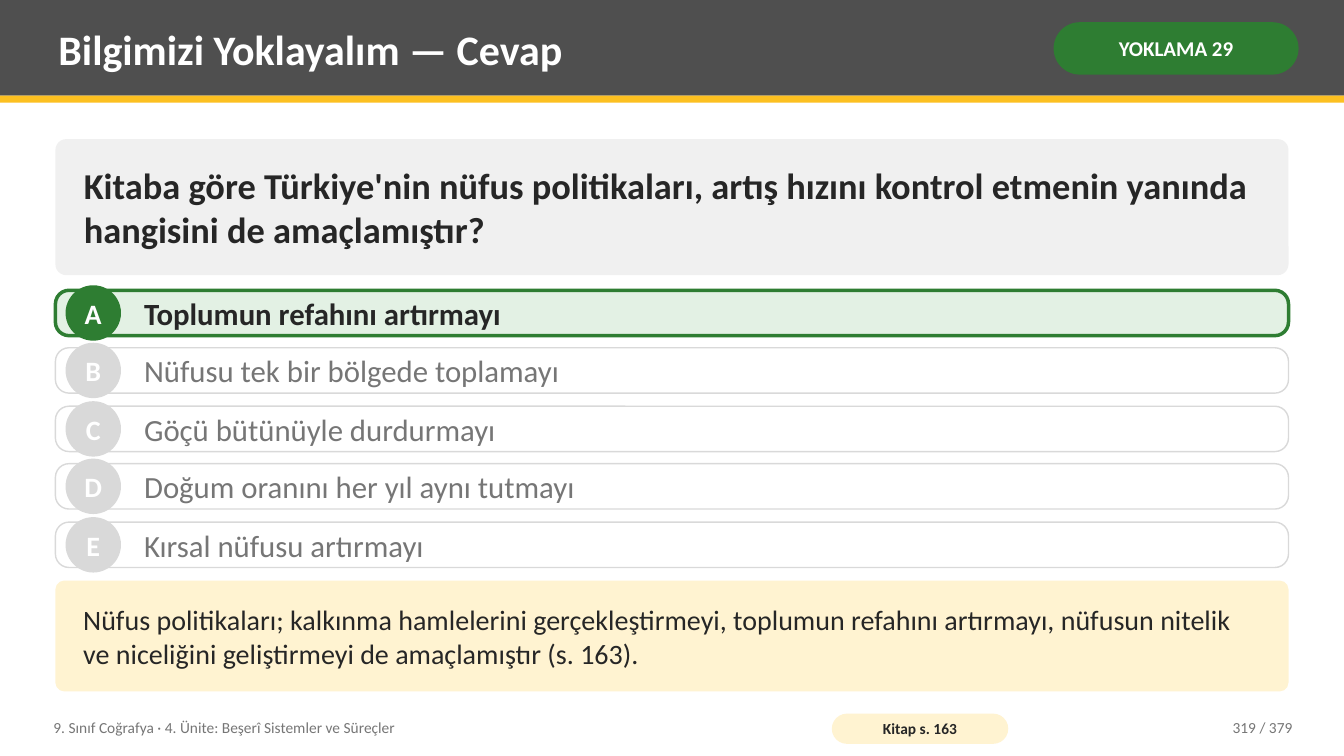
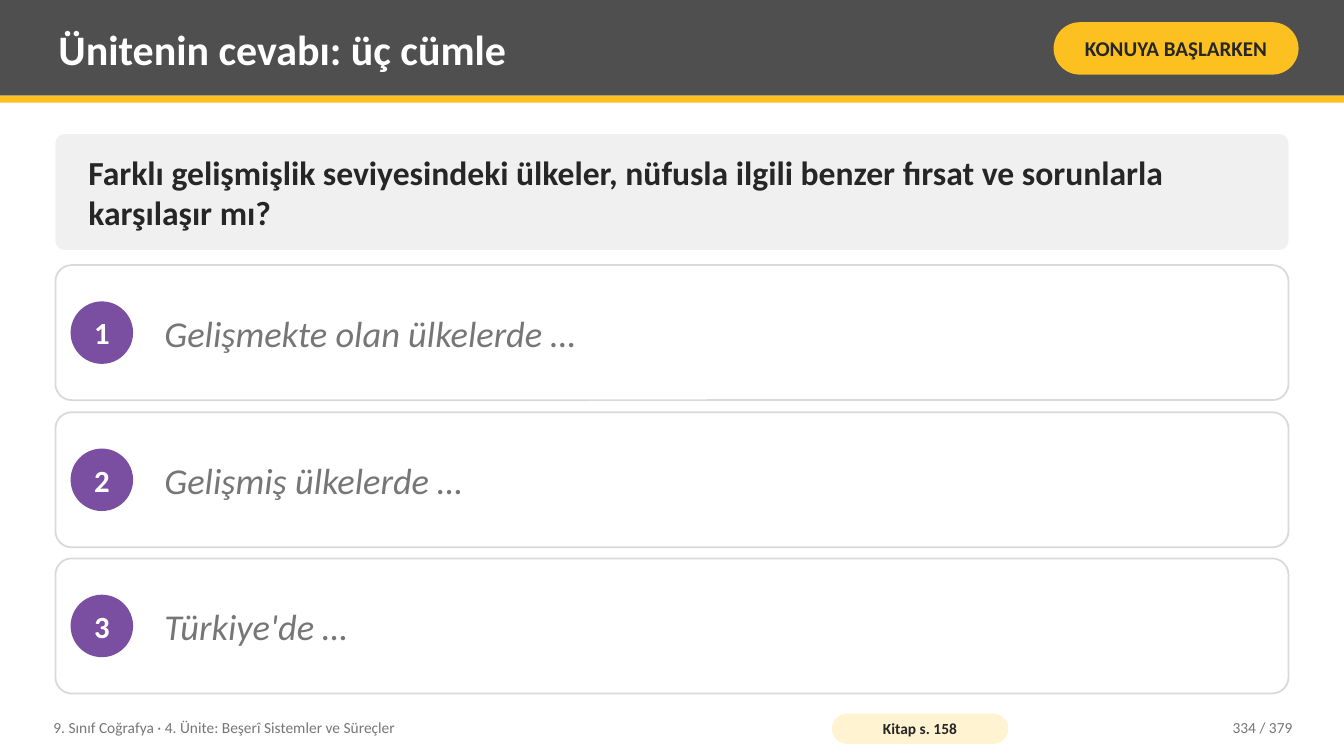
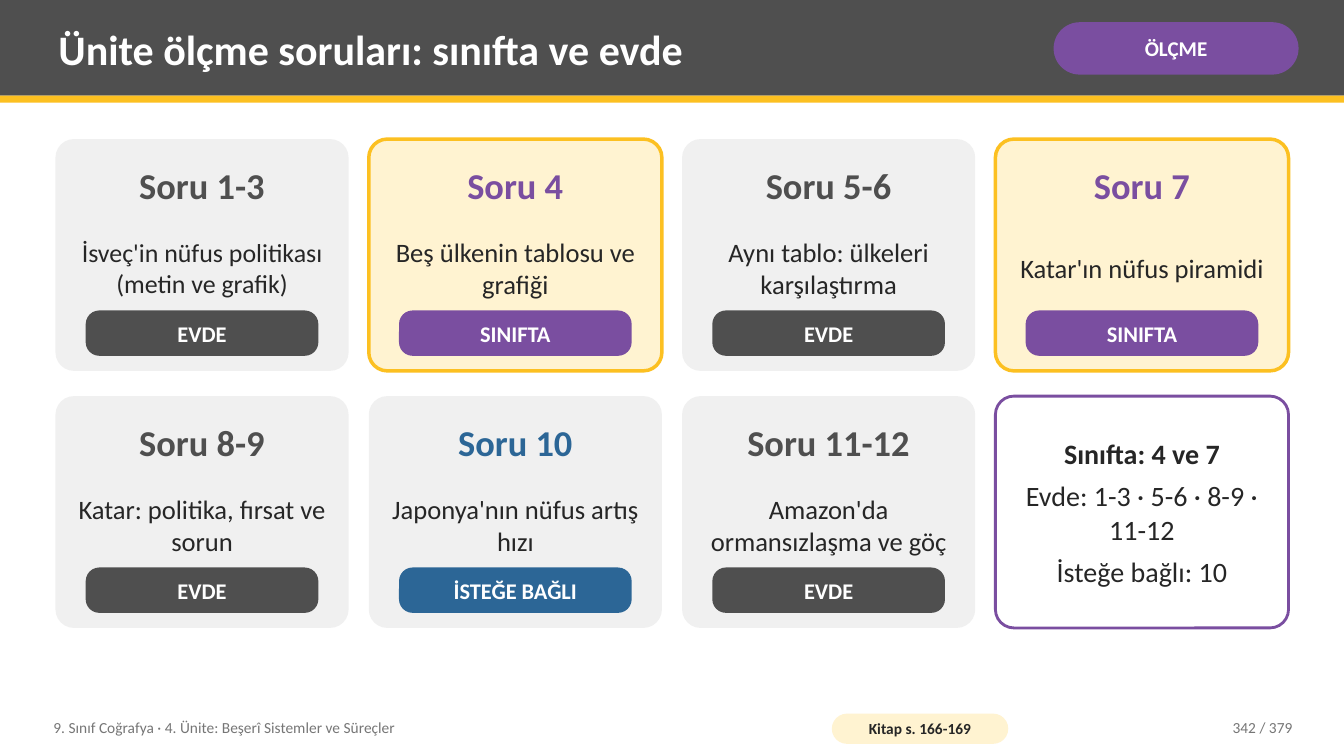
"""Build three geography lesson slides: a quiz answer, sentence starters and a question plan."""
from pptx import Presentation
from pptx.dml.color import RGBColor
from pptx.enum.shapes import MSO_SHAPE
from pptx.enum.text import MSO_ANCHOR, PP_ALIGN
from pptx.util import Pt

RECT, ROUND, OVAL = MSO_SHAPE.RECTANGLE, MSO_SHAPE.ROUNDED_RECTANGLE, MSO_SHAPE.OVAL
MIDDLE = MSO_ANCHOR.MIDDLE
LEFT, CENTER, RIGHT = PP_ALIGN.LEFT, PP_ALIGN.CENTER, PP_ALIGN.RIGHT
PX = 9144


class Theme:
    font = "Calibri"
    white, ink, muted, border = "FFFFFF", "262626", "767676", "D9D9D9"
    slate, panel, gold, cream = "4F4F4F", "F0F0F0", "FCC021", "FFF3D1"
    green, mint, purple, blue = "2E7D32", "E3F1E4", "7A4EA0", "2C6696"
    title, heading, question, option = 30, 26, 24, 22
    body, card, card_small, label, tag, footer = 20, 19, 18.5, 16, 15, 11


def draw(page, kind, area, fill, line=None, line_width=1, corner=None):
    box = page.shapes.add_shape(kind, *(round(side * PX) for side in area))
    box.shadow.inherit = False
    box.fill.solid()
    box.fill.fore_color.rgb = RGBColor.from_string(fill)
    if line:
        box.line.color.rgb = RGBColor.from_string(line)
        box.line.width = Pt(line_width)
    else:
        box.line.fill.background()
    if corner is not None:
        box.adjustments[0] = corner
    return box


def write(target, text, size, color, area=None, inset=(8, 4), align=LEFT, wrap=True, gap=0, **style):
    box = target.shapes.add_textbox(*(round(side * PX) for side in area)) if area else target
    frame = box.text_frame
    across, down = (side * PX for side in inset)
    layout = {"margin_left": across, "margin_right": across, "margin_top": down,
              "margin_bottom": down, "vertical_anchor": MIDDLE, "word_wrap": wrap}
    for name, value in layout.items():
        setattr(frame, name, value)
    frame.text = text
    for para in frame.paragraphs:
        para.alignment = align
        if gap and para is not frame.paragraphs[-1]:
            para.space_after = Pt(gap)
        for span in para.runs:
            for name, value in {"name": Theme.font, "size": Pt(size), **style}.items():
                setattr(span.font, name, value)
            span.font.color.rgb = RGBColor.from_string(color)
    return frame


deck = Presentation()
deck.slide_width, deck.slide_height = 1333 * PX, 750 * PX
blank = deck.slide_layouts[6]
left, width = 55, 1223

headers = [
    ("Bilgimizi Yoklayalım — Cevap", "YOKLAMA 29", Theme.green, Theme.white, "163", 319),
    ("Ünitenin cevabı: üç cümle", "KONUYA BAŞLARKEN", Theme.gold, Theme.ink, "158", 334),
    ("Ünite ölçme soruları: sınıfta ve evde", "ÖLÇME", Theme.purple, Theme.white, "166-169", 342),
]
pages = []
for title, tag, tag_fill, tag_color, book_pages, number in headers:
    page = deck.slides.add_slide(blank)
    draw(page, RECT, (0, 0, 1333, 95), Theme.slate)
    draw(page, RECT, (0, 95, 1333, 7), Theme.gold)
    write(page, title, Theme.title, Theme.white, (50, 7, 975, 82), bold=True)
    pill = draw(page, ROUND, (1045, 22, 243, 52), tag_fill, corner=0.5)
    write(pill, tag, Theme.tag, tag_color, inset=(5, 2), align=CENTER, bold=True)
    write(page, "9. Sınıf Coğrafya · 4. Ünite: Beşerî Sistemler ve Süreçler",
          Theme.footer, Theme.muted, (45, 704, 760, 36))
    source = draw(page, ROUND, (825, 708, 175, 30), Theme.cream, corner=0.5)
    write(source, f"Kitap s. {book_pages}", Theme.footer, Theme.ink, inset=(4, 0), align=CENTER, bold=True)
    write(page, f"{number} / 379", Theme.footer, Theme.muted, (1130, 704, 160, 36), align=RIGHT)
    pages.append(page)
answer_page, sentence_page, plan_page = pages

question = draw(answer_page, ROUND, (left, 138, width, 135), Theme.panel, corner=0.08)
write(question, "Kitaba göre Türkiye'nin nüfus politikaları, artış hızını kontrol etmenin yanında "
      "hangisini de amaçlamıştır?", Theme.heading, Theme.ink, inset=(25, 8), bold=True)
options = ["Toplumun refahını artırmayı", "Nüfusu tek bir bölgede toplamayı", "Göçü bütünüyle durdurmayı",
           "Doğum oranını her yıl aynı tutmayı", "Kırsal nüfusu artırmayı"]
for index, (letter, option) in enumerate(zip("ABCDE", options)):
    top = 288 + 115 * index // 2
    correct = letter == "A"
    accent = Theme.green if correct else Theme.border
    draw(answer_page, ROUND, (left, top, width, 45), Theme.mint if correct else Theme.white,
         accent, 2.5 if correct else 1, 0.3)
    badge = draw(answer_page, OVAL, (65, top - 5, 55, 55), accent)
    write(badge, letter, Theme.body, Theme.white, inset=(0, 0), align=CENTER, wrap=False, bold=True)
    write(answer_page, option, Theme.option, Theme.ink if correct else Theme.muted,
          (135, top, 1123, 45), bold=correct)
explanation = draw(answer_page, ROUND, (left, 576, width, 110), Theme.cream, corner=0.08)
write(explanation, "Nüfus politikaları; kalkınma hamlelerini gerçekleştirmeyi, toplumun refahını artırmayı, "
      "nüfusun nitelik ve niceliğini geliştirmeyi de amaçlamıştır (s. 163).",
      Theme.body, Theme.ink, inset=(25, 8))

question = draw(sentence_page, ROUND, (left, 133, width, 115), Theme.panel, corner=0.08)
write(question, "Farklı gelişmişlik seviyesindeki ülkeler, nüfusla ilgili benzer fırsat ve sorunlarla "
      "karşılaşır mı?", Theme.question, Theme.ink, inset=(30, 8), bold=True)
starters = ["Gelişmekte olan ülkelerde …", "Gelişmiş ülkelerde …", "Türkiye'de …"]
for index, starter in enumerate(starters):
    top = 263 + (291 * index + 1) // 2
    draw(sentence_page, ROUND, (left, top, width, 134), Theme.white, Theme.border, 1.25, 0.12)
    badge = draw(sentence_page, OVAL, (70, top + 36, 62, 62), Theme.purple)
    write(badge, str(index + 1), Theme.option, Theme.white, inset=(0, 0), align=CENTER, wrap=False, bold=True)
    write(sentence_page, starter, Theme.heading, Theme.muted, (155, top + 3, 1108, 128), italic=True)

columns, card_gap, card_height = 4, 20, 230
card_width = (width - card_gap * (columns - 1)) / columns
spots = [(left + column * (card_width + card_gap), top) for top in (138, 393) for column in range(columns)]
accents = {"EVDE": Theme.slate, "SINIFTA": Theme.purple, "İSTEĞE BAĞLI": Theme.blue}
cards = [
    ("1-3", "İsveç'in nüfus politikası (metin ve grafik)", "EVDE", Theme.card_small),
    ("4", "Beş ülkenin tablosu ve grafiği", "SINIFTA", Theme.card),
    ("5-6", "Aynı tablo: ülkeleri karşılaştırma", "EVDE", Theme.card),
    ("7", "Katar'ın nüfus piramidi", "SINIFTA", Theme.card),
    ("8-9", "Katar: politika, fırsat ve sorun", "EVDE", Theme.card),
    ("10", "Japonya'nın nüfus artış hızı", "İSTEĞE BAĞLI", Theme.card),
    ("11-12", "Amazon'da ormansızlaşma ve göç", "EVDE", Theme.card),
]
for (x, y), (numbers, topic, place, topic_size) in zip(spots, cards):
    in_class = place == "SINIFTA"
    draw(plan_page, ROUND, (x, y, card_width, card_height), Theme.cream if in_class else Theme.panel,
         Theme.gold if in_class else None, 2.5, 0.08)
    write(plan_page, f"Soru {numbers}", Theme.heading, accents[place],
          (x + 10, y + 8, card_width - 20, 75), align=CENTER, bold=True)
    write(plan_page, topic, topic_size, Theme.ink, (x + 12, y + 85, card_width - 24, 85), align=CENTER)
    place_label = draw(plan_page, ROUND, (x + 30, y + 170, card_width - 60, 45), accents[place], corner=0.3)
    write(place_label, place, Theme.label, Theme.white, inset=(6, 2), align=CENTER, bold=True)

summary = draw(plan_page, ROUND, (*spots[-1], card_width, card_height), Theme.white, Theme.purple, 2, 0.08)
summary_text = write(summary, "Sınıfta: 4 ve 7\nEvde: 1-3 · 5-6 · 8-9 · 11-12\nİsteğe bağlı: 10",
                     Theme.body, Theme.ink, inset=(14, 8), align=CENTER, gap=6)
summary_text.paragraphs[0].runs[0].font.bold = True

deck.save("out.pptx")
